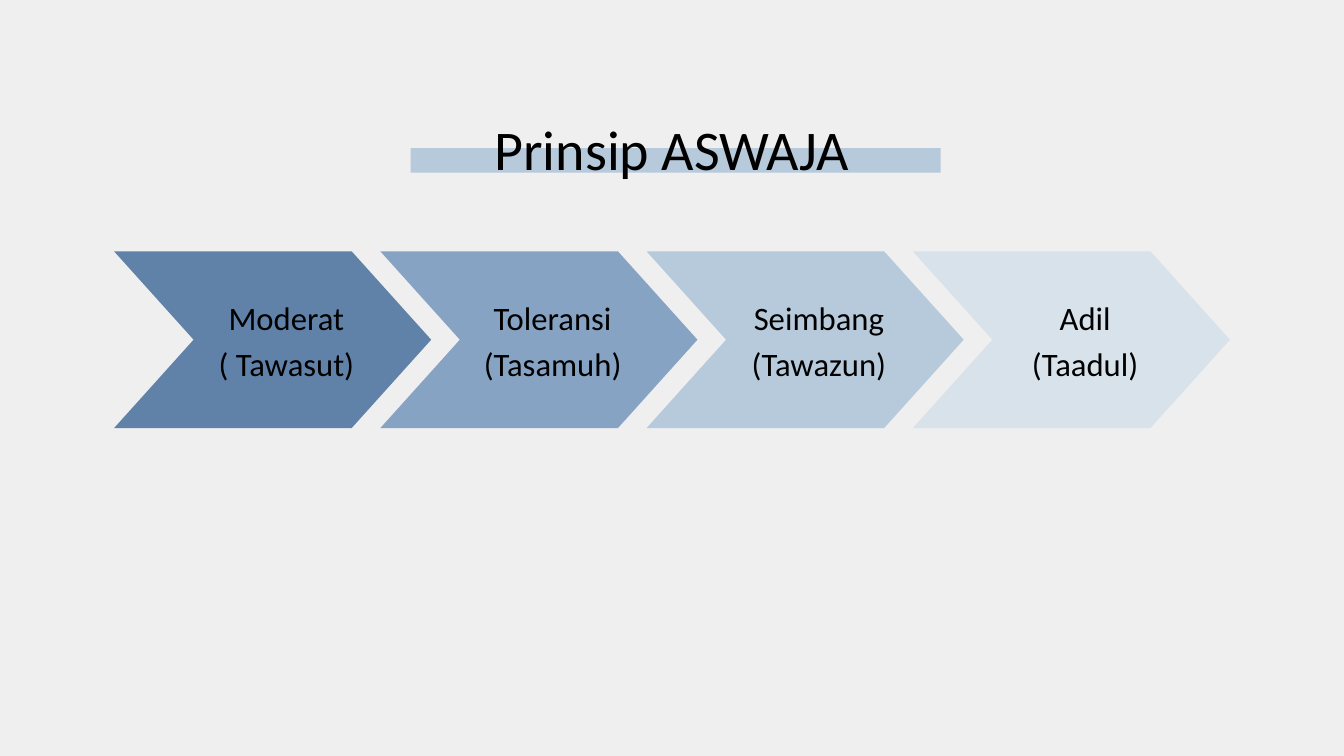
from pptx import Presentation
from pptx.dml.color import RGBColor
from pptx.enum.shapes import MSO_SHAPE as Shape
from pptx.enum.text import MSO_ANCHOR as Anchor, MSO_AUTO_SIZE as Fit, PP_ALIGN as Align
from pptx.util import Pt

PAPER = RGBColor(0xEF, 0xEF, 0xEF)
INK = RGBColor(0x00, 0x00, 0x00)
NAVY = RGBColor(0x61, 0x82, 0xA8)
BLUE = RGBColor(0x87, 0xA3, 0xC4)
SKY = RGBColor(0xB7, 0xCA, 0xDB)
MIST = RGBColor(0xD8, 0xE2, 0xEB)
FONT = "Calibri"

STEPS = [
    (NAVY, ["Moderat", "( Tawasut)"]),
    (BLUE, ["Toleransi", "(Tasamuh)"]),
    (SKY, ["Seimbang", "(Tawazun)"]),
    (MIST, ["Adil", "(Taadul)"]),
]


def add_block(slide, kind, box, color):
    block = slide.shapes.add_shape(kind, *(Pt(v) for v in box))
    block.shadow.inherit = False
    block.fill.solid()
    block.fill.fore_color.rgb = color
    block.line.fill.background()
    return block


def set_text(frame, lines, size, pitch):
    frame.margin_left = frame.margin_right = 0
    frame.margin_top = frame.margin_bottom = 0
    frame.word_wrap = True
    frame.auto_size = Fit.NONE
    frame.vertical_anchor = Anchor.TOP
    for i, line in enumerate(lines):
        para = frame.add_paragraph() if i else frame.paragraphs[0]
        para.alignment = Align.CENTER
        para.line_spacing = Pt(pitch)
        run = para.add_run()
        run.text = line
        run.font.name = FONT
        run.font.size = Pt(size)
        run.font.color.rgb = INK


def add_title(slide, box, text):
    left, top, width, height = box
    title = slide.shapes.title
    title.left, title.top = Pt(left), Pt(top)
    title.width, title.height = Pt(width), Pt(height)
    set_text(title.text_frame, [text], 60, 84)
    # Highlight bar behind the title
    bar = add_block(slide, Shape.RECTANGLE, (left, top + 47.7, 568, 26.5), SKY)
    title.element.addprevious(bar.element)


def add_steps(slide, box, steps):
    left, top, width, height = box
    wide = 339.8
    pitch = (width - wide) / (len(steps) - 1)
    for i, (color, lines) in enumerate(steps):
        x = left + i * pitch
        # Arrow
        arrow = add_block(slide, Shape.CHEVRON, (x, top, wide, height), color)
        arrow.adjustments[0] = 0.45
        # Label
        label = slide.shapes.add_textbox(
            Pt(x + 96.5), Pt(top + 43.2), Pt(176.4), Pt(96.5))
        set_text(label.text_frame, lines, 35, 49)


def main():
    deck = Presentation()
    deck.slide_width, deck.slide_height = Pt(1440), Pt(810)
    slide = deck.slides.add_slide(deck.slide_layouts[5])
    slide.background.fill.solid()
    slide.background.fill.fore_color.rgb = PAPER
    add_title(slide, (440, 110.9, 560, 80), "Prinsip ASWAJA")
    add_steps(slide, (122.2, 269.3, 1195.6, 189.4), STEPS)
    deck.save("out.pptx")


if __name__ == "__main__":
    main()
